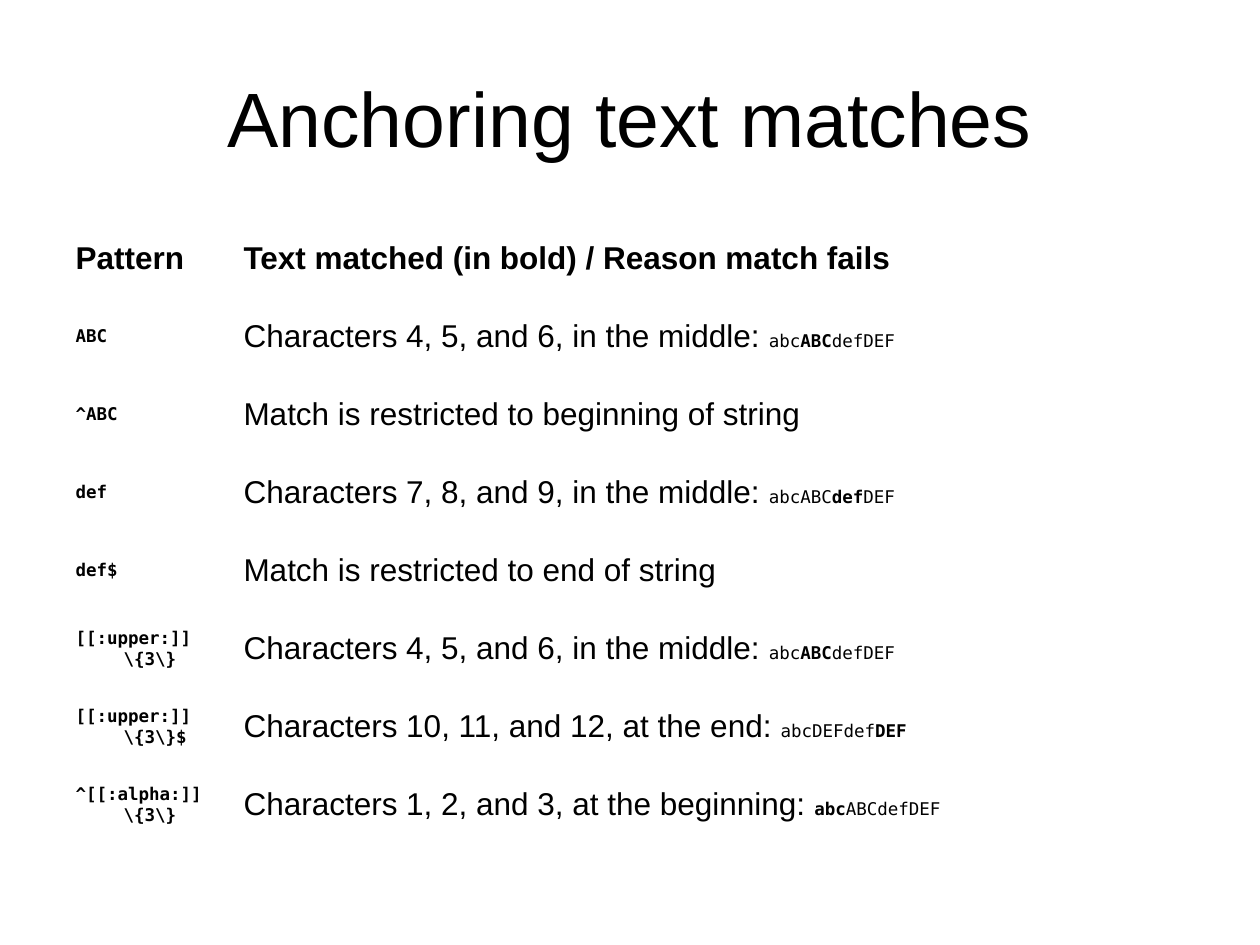
import dataclasses
import typing

import pptx
import pptx.dml.color
import pptx.enum.text
import pptx.util

SCALE = 914400 // 126
COLORS = {"ink": "000000"}
BODY_FONT = "Arial"
CODE_FONT = "DejaVu Sans Mono"
TITLE_SIZE, BODY_SIZE, CODE_SIZE = 44, 18, 10
COLUMN_WIDTHS = (168, 774)
ROW_HEIGHT = 78
HANGING_INDENT = 48
MIDDLE = pptx.enum.text.MSO_ANCHOR.MIDDLE


@dataclasses.dataclass(frozen=True)
class Span:
    text: str
    size: int = BODY_SIZE
    font: str = BODY_FONT
    bold: bool = False


@dataclasses.dataclass(frozen=True)
class Example:
    pattern: str
    reason: str
    before: str = ""
    matched: str = ""
    after: str = ""


EXAMPLES = (
    Example("ABC", "Characters 4, 5, and 6, in the middle: ", "abc", "ABC", "defDEF"),
    Example("^ABC", "Match is restricted to beginning of string"),
    Example("def", "Characters 7, 8, and 9, in the middle: ", "abcABC", "def", "DEF"),
    Example("def$", "Match is restricted to end of string"),
    Example(r"[[:upper:]]\{3\}", "Characters 4, 5, and 6, in the middle: ", "abc", "ABC", "defDEF"),
    Example(r"[[:upper:]]\{3\}$", "Characters 10, 11, and 12, at the end: ", "abcDEFdef", "DEF"),
    Example(r"^[[:alpha:]]\{3\}", "Characters 1, 2, and 3, at the beginning: ", "", "abc", "ABCdefDEF"),
)


def px(length: int) -> pptx.util.Emu:
    return pptx.util.Emu(length * SCALE)


def code(text: str, bold: bool = False) -> Span:
    return Span(text, CODE_SIZE, CODE_FONT, bold)


def write_spans(paragraph: typing.Any, spans: typing.Iterable[Span]) -> None:
    for span in spans:
        if not span.text:
            continue
        run = paragraph.add_run()
        run.text = span.text
        font_format = {"size": pptx.util.Pt(span.size), "name": span.font, "bold": span.bold}
        for attribute, value in font_format.items():
            setattr(run.font, attribute, value)
        run.font.color.rgb = pptx.dml.color.RGBColor.from_string(COLORS["ink"])


def add_title(slide: typing.Any, text: str) -> None:
    title = slide.shapes.add_textbox(px(63), px(38), px(1134), px(158))
    frame_format = {"word_wrap": True, "vertical_anchor": MIDDLE}
    for attribute, value in frame_format.items():
        setattr(title.text_frame, attribute, value)
    heading = title.text_frame.paragraphs[0]
    heading.alignment = pptx.enum.text.PP_ALIGN.CENTER
    write_spans(heading, [Span(text, TITLE_SIZE)])


def fill_cell(cell: typing.Any, spans: typing.Iterable[Span]) -> None:
    cell.fill.background()
    cell.vertical_anchor = MIDDLE
    paragraph = cell.text_frame.paragraphs[0]
    indents = {"marL": HANGING_INDENT, "indent": -HANGING_INDENT}
    properties = paragraph._p.get_or_add_pPr()
    for attribute, length in indents.items():
        properties.set(attribute, str(px(length)))
    write_spans(paragraph, spans)


def example_cells(example: Example) -> tuple[list[Span], list[Span]]:
    outcome = [
        Span(example.reason),
        code(example.before),
        code(example.matched, True),
        code(example.after),
    ]
    return [code(example.pattern, True)], outcome


def add_pattern_table(slide: typing.Any) -> None:
    headings = (
        [Span("Pattern", bold=True)],
        [Span("Text matched (in bold) / Reason match fails", bold=True)],
    )
    rows = [headings, *map(example_cells, EXAMPLES)]
    patterns = slide.shapes.add_table(
        len(rows), len(COLUMN_WIDTHS), px(63), px(220),
        px(sum(COLUMN_WIDTHS)), px(ROW_HEIGHT * len(rows)),
    ).table
    table_format = {"first_row": False, "horz_banding": False}
    for attribute, value in table_format.items():
        setattr(patterns, attribute, value)
    for column, width in zip(patterns.columns, COLUMN_WIDTHS):
        column.width = px(width)
    for row, contents in zip(patterns.rows, rows):
        row.height = px(ROW_HEIGHT)
        for cell, spans in zip(row.cells, contents):
            fill_cell(cell, spans)


def main() -> None:
    presentation = pptx.Presentation()
    presentation.slide_width = px(1260)
    presentation.slide_height = px(945)
    slide = presentation.slides.add_slide(presentation.slide_layouts[6])
    add_title(slide, "Anchoring text matches")
    add_pattern_table(slide)
    presentation.save("out.pptx")


main()
